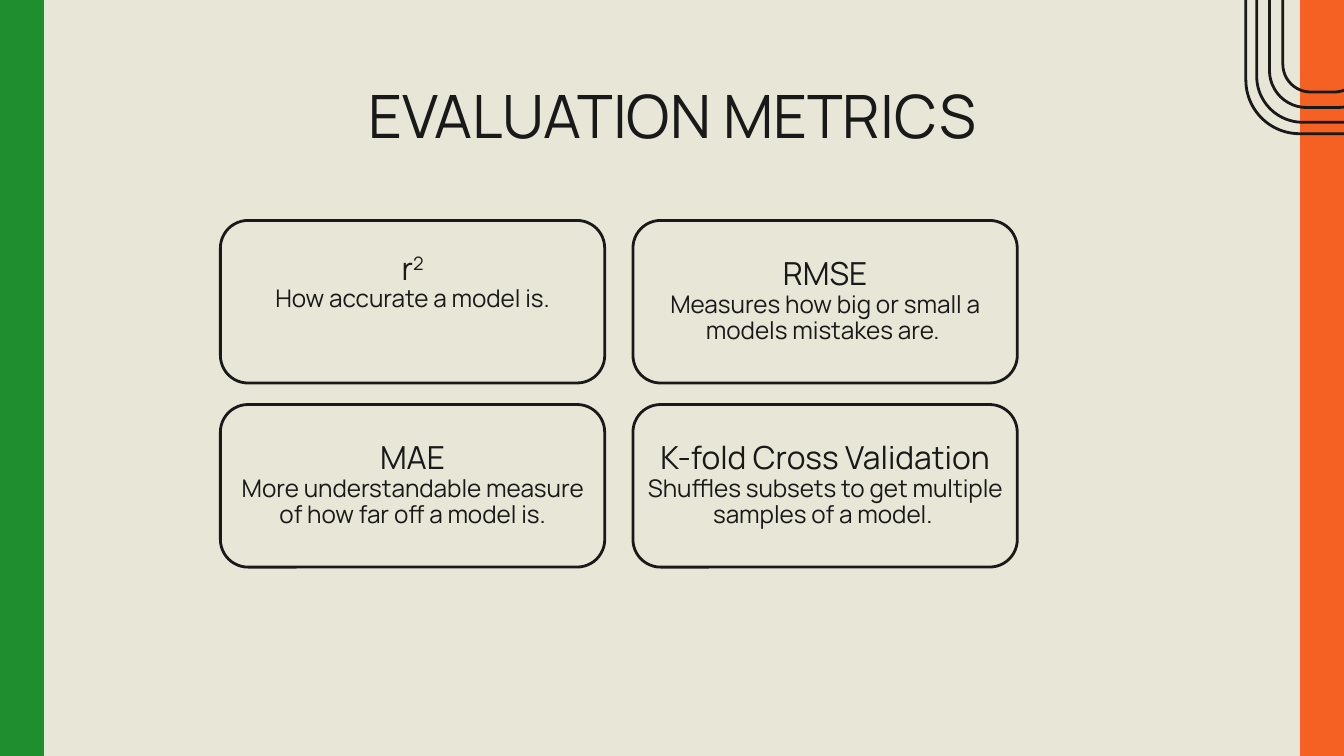
from pptx import Presentation
from pptx.dml.color import RGBColor
from pptx.enum.shapes import MSO_SHAPE
from pptx.enum.text import MSO_ANCHOR, PP_ALIGN
from pptx.util import Inches, Pt

RECTANGLE = MSO_SHAPE.RECTANGLE
ROUNDED = MSO_SHAPE.ROUNDED_RECTANGLE
MIDDLE, TOP = MSO_ANCHOR.MIDDLE, MSO_ANCHOR.TOP
CENTER = PP_ALIGN.CENTER

FONT = "Manrope"
INK, CREAM, GREEN, ORANGE = "191919", "E8E6D6", "1F8E2E", "F46123"
SLIDE_WIDTH, BAND_WIDTH = 10, 0.32
SLIDE_HEIGHT = SLIDE_WIDTH * 9 / 16
RING_CENTER_X, RING_CENTER_Y = 9.84, -0.97
RING_SIZES = [(3.93, 1.14), (3.76, 0.98), (3.54, 0.79), (3.31, 0.59)]
CARD_LEFT, CARD_TOP, CARD_WIDTH, CARD_HEIGHT = 1.64, 1.64, 2.86, 1.21
COLUMN_STEP, ROW_STEP = 3.07, 1.37
METRICS = [
    ("r", "2", "How accurate a model is.", 0.38),
    ("RMSE", "", "Measures how big or small a models mistakes are. ", 0.1),
    ("MAE", "", "More understandable measure of how far off a model is.", 0.1),
    ("K-fold Cross Validation", "",
     "Shuffles subsets to get multiple samples of a model. ", 0.1),
]


def color(hex_value):
    """Turn a hex string into a colour."""
    return RGBColor.from_string(hex_value)


def add_band(slide, left, hue):
    """Add a full-height coloured band at a slide edge."""
    band = slide.shapes.add_shape(RECTANGLE, Inches(left), Inches(0),
                                  Inches(BAND_WIDTH), Inches(SLIDE_HEIGHT))
    band.shadow.inherit = False
    band.fill.solid()
    band.fill.fore_color.rgb = color(hue)
    band.line.color.rgb = color(hue)
    band.line.width = Pt(0.75)


def add_outline(slide, left, top, width, height, rounding):
    """Add an unfilled rounded rectangle with a dark outline."""
    outline = slide.shapes.add_shape(ROUNDED, Inches(left), Inches(top),
                                     Inches(width), Inches(height))
    outline.shadow.inherit = False
    outline.adjustments[0] = rounding
    outline.fill.background()
    outline.line.color.rgb = color(INK)
    outline.line.width = Pt(1.5)
    return outline


def add_rings(slide):
    """Add the concentric upright loops in the top right corner."""
    for length, breadth in RING_SIZES:
        ring = add_outline(slide, RING_CENTER_X - length / 2,
                           RING_CENTER_Y - breadth / 2, length, breadth, 0.35)
        ring.rotation = 90


def set_frame(frame, anchor, side, top, bottom):
    """Set wrapping, anchoring and insets of a text frame."""
    frame.word_wrap = True
    frame.vertical_anchor = anchor
    frame.margin_left = frame.margin_right = Inches(side)
    frame.margin_top = Inches(top)
    frame.margin_bottom = Inches(bottom)


def add_run(paragraph, text, size):
    """Append a run in the slide font."""
    run = paragraph.add_run()
    run.text = text
    run.font.name = FONT
    run.font.size = Pt(size)
    run.font.color.rgb = color(INK)
    return run


def add_title(slide, text):
    """Add the centred slide title."""
    title = slide.shapes.add_textbox(Inches(0.79), Inches(0.59),
                                     Inches(8.43), Inches(0.63))
    set_frame(title.text_frame, TOP, 0.1, 0, 0.1)
    heading = title.text_frame.paragraphs[0]
    heading.alignment = CENTER
    add_run(heading, text, 32)


def add_card(slide, left, top, metric):
    """Add a card holding a metric name and its description."""
    name, exponent, description, bottom_inset = metric
    card = add_outline(slide, left, top, CARD_WIDTH, CARD_HEIGHT, 0.17)
    frame = card.text_frame
    set_frame(frame, MIDDLE, 0.05, 0.1, bottom_inset)
    heading, body = frame.paragraphs[0], frame.add_paragraph()
    for paragraph in (heading, body):
        paragraph.alignment = CENTER
        paragraph.line_spacing = 0.9
    add_run(heading, name, 17)
    if exponent:
        raised = add_run(heading, exponent, 17)
        raised.font._element.set("baseline", "30000")
    add_run(body, description, 13)


def main():
    """Build and save the slide."""
    deck = Presentation()
    deck.slide_width = Inches(SLIDE_WIDTH)
    deck.slide_height = Inches(SLIDE_HEIGHT)
    slide = deck.slides.add_slide(deck.slide_layouts[6])
    slide.background.fill.solid()
    slide.background.fill.fore_color.rgb = color(CREAM)
    add_band(slide, 0, GREEN)
    add_band(slide, SLIDE_WIDTH - BAND_WIDTH, ORANGE)
    add_rings(slide)
    add_title(slide, "EVALUATION METRICS")
    for index, metric in enumerate(METRICS):
        row, column = divmod(index, 2)
        add_card(slide, CARD_LEFT + column * COLUMN_STEP,
                 CARD_TOP + row * ROW_STEP, metric)
    deck.save("out.pptx")


if __name__ == "__main__":
    main()
